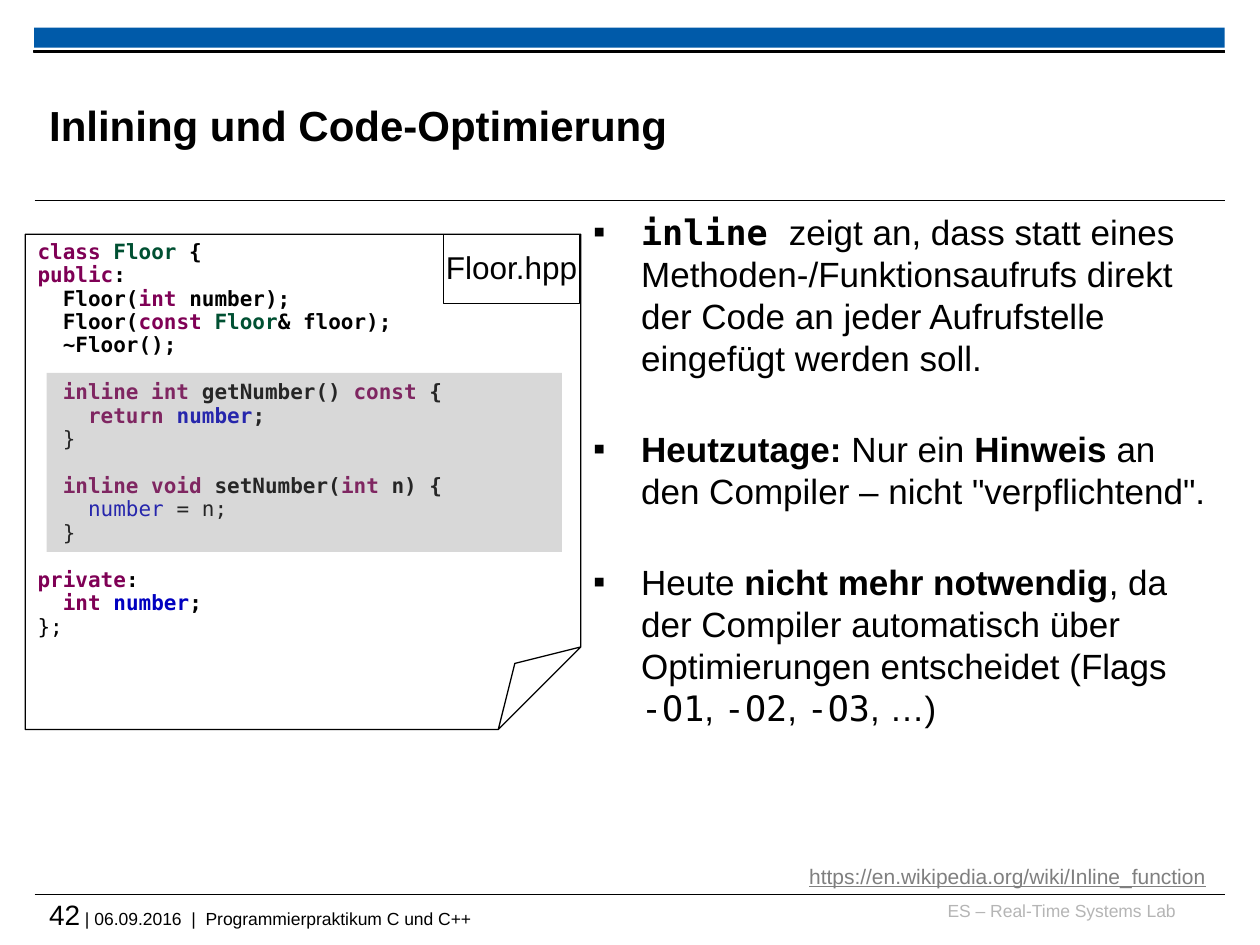
"""Build the slide on inlining and code optimisation in C++."""
from lxml import etree
from pptx import Presentation
from pptx.dml.color import RGBColor
from pptx.enum.shapes import MSO_CONNECTOR, MSO_SHAPE
from pptx.enum.text import MSO_ANCHOR, PP_ALIGN
from pptx.oxml.ns import qn
from pptx.util import Inches, Pt

RECT, FOLDED = MSO_SHAPE.RECTANGLE, MSO_SHAPE.FOLDED_CORNER
STRAIGHT = MSO_CONNECTOR.STRAIGHT
TOP, MIDDLE = MSO_ANCHOR.TOP, MSO_ANCHOR.MIDDLE
LEFT, CENTER, RIGHT = PP_ALIGN.LEFT, PP_ALIGN.CENTER, PP_ALIGN.RIGHT

SANS, MONO = "Arial", "DejaVu Sans Mono"
W, H = Inches(10), Inches(7.5)
C = {"black": "000000", "white": "FFFFFF", "blue": "005AA9", "shade": "808080",
     "brand": "B5B5B5", "link": "7F7F7F", "keyword": "7F0055",
     "type": "005032", "member": "0000C0"}

STYLES = {
    "title": (SANS, 24, True, "black"),
    "text": (SANS, 20, False, "black"),
    "strong": (SANS, 20, True, "black"),
    "mono": (MONO, 20, False, "black"),
    "monostrong": (MONO, 20, True, "black"),
    "key": (MONO, 12, True, "keyword"),
    "type": (MONO, 12, True, "type"),
    "field": (MONO, 12, True, "member"),
    "fieldthin": (MONO, 12, False, "member"),
    "code": (MONO, 12, True, "black"),
    "thin": (MONO, 12, False, "black"),
    "tag": (SANS, 18, False, "black"),
    "page": (SANS, 16, False, "black"),
    "foot": (SANS, 10, False, "black"),
    "brand": (SANS, 10, False, "brand"),
    "link": (SANS, 12, False, "link"),
}

TITLE = [[("Inlining und Code-Optimierung", "title")]]
BULLETS = [
    [("inline ", "monostrong"),
     ("zeigt an, dass statt eines Methoden-/Funktionsaufrufs direkt der Code "
      "an jeder Aufrufstelle eingefügt werden soll.", "text")],
    [("Heutzutage:", "strong"), (" Nur ein ", "text"), ("Hinweis", "strong"),
     (" an den Compiler – nicht \"verpflichtend\".", "text")],
    [("Heute ", "text"), ("nicht mehr notwendig", "strong"),
     (", da der Compiler automatisch über Optimierungen entscheidet (Flags ", "text"),
     ("-O1", "mono"), (", ", "text"), ("-O2", "mono"), (", ", "text"),
     ("-O3", "mono"), (", …)", "text")],
]
CODE_BLOCKS = [
    [[("class ", "key"), ("Floor", "type"), (" {", "code")],
     [("public", "key"), (":", "code")],
     [("  Floor(", "code"), ("int ", "key"), ("number);", "code")],
     [("  Floor(", "code"), ("const ", "key"), ("Floor", "type"), ("& floor);", "code")],
     [("  ~Floor();", "code")]],
    [[("  inline int ", "key"), ("getNumber() ", "code"), ("const", "key"), (" {", "code")],
     [("    return ", "key"), ("number", "field"), (";", "code")],
     [("  }", "thin")]],
    [[("  inline void ", "key"), ("setNumber(", "code"), ("int", "key"), (" n) {", "code")],
     [("    number", "fieldthin"), (" = n;", "thin")],
     [("  }", "thin")]],
    [[("private", "key"), (":", "code")],
     [("  int ", "key"), ("number", "field"), (";", "code")],
     [("};", "thin")]],
]
TAG = [[("Floor.hpp", "tag")]]
LINK = [[("https://en.wikipedia.org/wiki/Inline_function", "link")]]
FOOTER = [[("42", "page"), (" | 06.09.2016  |  Programmierpraktikum C und C++", "foot")]]
BRAND = [[("ES – Real-Time Systems Lab", "brand")]]


def rgb(name):
    return RGBColor.from_string(C[name])


def box(x, y, w, h):
    """Turn percentages of the slide into lengths."""
    return [round(v * side / 100) for v, side in zip((x, y, w, h), (W, H, W, H))]


def write(sp, paras, align=LEFT, anchor=TOP, spacing=1.0, inset=True, wrap=True):
    tf = sp.text_frame
    tf.word_wrap = wrap
    tf.vertical_anchor = anchor
    if not inset:
        tf.margin_left = tf.margin_right = tf.margin_top = tf.margin_bottom = 0
    for i, runs in enumerate(paras):
        p = tf.add_paragraph() if i else tf.paragraphs[0]
        p.alignment = align
        p.line_spacing = spacing
        for text, style in runs:
            r = p.add_run()
            r.text = text
            r.font.name, size, r.font.bold, color = STYLES[style]
            r.font.size = Pt(size)
            r.font.color.rgb = rgb(color)
            r.font.underline = style == "link"
    return tf


def textbox(s, place, paras, **options):
    return write(s.shapes.add_textbox(*box(*place)), paras, **options)


def shape(s, kind, place, fill=None, line=None):
    sp = s.shapes.add_shape(kind, *box(*place))
    sp.shadow.inherit = False
    if fill:
        sp.fill.solid()
        sp.fill.fore_color.rgb = rgb(fill)
    else:
        sp.fill.background()
    if line:
        sp.line.color.rgb = rgb(line)
        sp.line.width = Pt(0.75)
    else:
        sp.line.fill.background()
    return sp


def rule(s, y):
    x, y, w, _ = box(2.75, y, 94.5, 0)
    cx = s.shapes.add_connector(STRAIGHT, x, y, x + w, y)
    cx.line.color.rgb = rgb("black")
    cx.line.width = Pt(0.6)
    etree.SubElement(cx._element.spPr, qn("a:effectLst"))


def add_frame(s):
    rule(s, 94.67)
    shape(s, RECT, (2.7, 2.93, 94.5, 2.13), "blue")
    rule(s, 21.2)
    shape(s, RECT, (2.7, 5.33, 94.5, 0.27), "black", "black")
    textbox(s, (73.6, 95.2, 19.7, 3.33), BRAND, align=RIGHT, inset=False)
    textbox(s, (3.9, 94.93, 93.3, 4.4), FOOTER, inset=False)
    textbox(s, (3.9, 7.07, 75.2, 12.27), TITLE, anchor=MIDDLE, inset=False)


def add_bullets(s):
    tf = textbox(s, (46.1, 21.6, 51.2, 72.4), BULLETS)
    indent = Inches(0.38)
    for i, p in enumerate(tf.paragraphs):
        pPr = p._p.get_or_add_pPr()
        pPr.set("marL", str(indent))
        pPr.set("indent", str(-indent))
        etree.SubElement(pPr, qn("a:buFont")).set("typeface", SANS)
        etree.SubElement(pPr, qn("a:buChar")).set("char", "▪")
        if i:
            p.space_before = Pt(28)


def add_code(s):
    sp = shape(s, FOLDED, (2, 24.8, 44.1, 52.4), line="black")
    lines = [line for block in CODE_BLOCKS for line in block]
    tf = write(sp, lines, spacing=0.93)
    start = 0
    for block in CODE_BLOCKS[:-1]:
        start += len(block)
        tf.paragraphs[start].space_before = Pt(13.4)
    tag = shape(s, RECT, (35.2, 24.8, 10.8, 7.33), "white", "black")
    write(tag, TAG, align=CENTER, anchor=MIDDLE, spacing=0.93, wrap=False)
    shade = shape(s, RECT, (3.7, 39.47, 40.9, 18.93), "shade")
    color = shade.fill._xPr.find(qn("a:solidFill"))[0]
    etree.SubElement(color, qn("a:alpha")).set("val", "30000")


def main():
    prs = Presentation()
    prs.slide_width, prs.slide_height = W, H
    s = prs.slides.add_slide(prs.slide_layouts[6])
    add_frame(s)
    add_bullets(s)
    add_code(s)
    textbox(s, (53.3, 90.93, 43.4, 6.4), LINK, align=RIGHT, spacing=0.93)
    prs.save("out.pptx")


if __name__ == "__main__":
    main()
